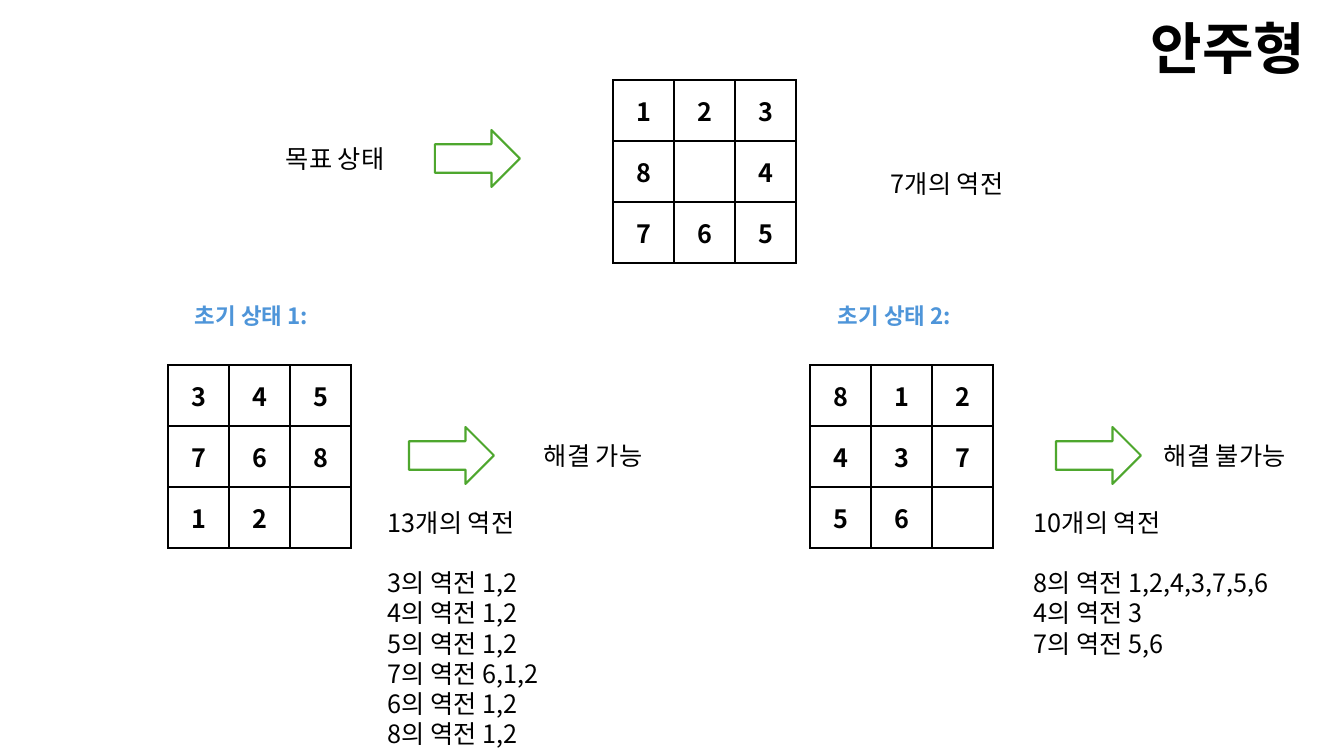
from dataclasses import dataclass

from lxml.etree import SubElement
from pptx import Presentation
from pptx.dml.color import RGBColor
from pptx.enum.shapes import MSO_SHAPE
from pptx.enum.text import MSO_ANCHOR, MSO_AUTO_SIZE, PP_ALIGN
from pptx.oxml.ns import qn
from pptx.slide import Slide
from pptx.table import _Cell
from pptx.text.text import _Paragraph
from pptx.util import Emu, Pt

PX_PER_INCH = 100.8
BLACK = RGBColor(0x00, 0x00, 0x00)
WHITE = RGBColor(0xFF, 0xFF, 0xFF)
GREEN = RGBColor(0x4E, 0xA7, 0x2E)
BLUE = RGBColor(0x4E, 0x95, 0xD9)
FONT = "Noto Sans CJK KR"
CELL_SIZE = 61
ARROW_SIZE = (85, 57)
LIST_GAP = Pt(21.6)

BODY = {"size": Pt(18), "bold": False}
TILE = {"size": Pt(18), "bold": True}
HEADING = {"size": Pt(16), "bold": True}
TITLE = {"size": Pt(40), "bold": True}


@dataclass(frozen=True)
class Puzzle:
    left: int
    top: int
    rows: tuple[str, ...]


@dataclass(frozen=True)
class Label:
    left: int
    top: int
    width: int
    height: int
    lines: tuple[str, ...]
    style: dict
    color: RGBColor = BLACK


PUZZLES = (
    Puzzle(613, 80, ("123", "8 4", "765")),
    Puzzle(810, 365, ("812", "437", "56 ")),
    Puzzle(168, 365, ("345", "768", "12 ")),
)

ARROWS = ((435, 130), (409, 427), (1056, 427))

LABELS = (
    Label(276, 138, 149, 40, ("목표 상태",), BODY),
    Label(1154, 435, 167, 40, ("해결 불가능",), BODY),
    Label(534, 435, 149, 40, ("해결 가능",), BODY),
    Label(881, 163, 235, 40, ("7개의 역전",), BODY),
    Label(378, 502, 235, 254,
          ("13개의 역전", "3의 역전 1,2", "4의 역전 1,2", "5의 역전 1,2",
           "7의 역전 6,1,2", "6의 역전 1,2", "8의 역전 1,2"), BODY),
    Label(1024, 502, 277, 163,
          ("10개의 역전", "8의 역전 1,2,4,3,7,5,6", "4의 역전 3", "7의 역전 5,6"), BODY),
    Label(185, 297, 148, 37, ("초기 상태 1:",), HEADING, BLUE),
    Label(828, 297, 148, 37, ("초기 상태 2:",), HEADING, BLUE),
    Label(1141, 9, 244, 78, ("안주형",), TITLE),
)


def px(length: int) -> Emu:
    return Emu(round(length * 914400 / PX_PER_INCH))


def write_text(para: _Paragraph, text: str, style: dict, color: RGBColor) -> None:
    span = para.add_run()
    span.text = text
    for name, value in {"name": FONT, **style}.items():
        setattr(span.font, name, value)
    span.font.color.rgb = color
    # Hangul takes its typeface from the East Asian slot
    SubElement(span.font._element, qn("a:ea"), typeface=FONT)


def format_cell(cell: _Cell) -> None:
    """Give the cell black borders on all sides and a white fill."""
    properties = cell._tc.get_or_add_tcPr()
    for side in "LRTB":
        border = SubElement(properties, qn(f"a:ln{side}"), w=str(Pt(1)))
        fill = SubElement(border, qn("a:solidFill"))
        SubElement(fill, qn("a:srgbClr"), val=str(BLACK))
    cell.fill.solid()
    cell.fill.fore_color.rgb = WHITE
    cell.vertical_anchor = MSO_ANCHOR.MIDDLE


def draw_puzzle(page: Slide, puzzle: Puzzle) -> None:
    side = px(3 * CELL_SIZE)
    table = page.shapes.add_table(3, 3, px(puzzle.left), px(puzzle.top), side, side).table
    table.first_row = table.horz_banding = False
    for column in table.columns:
        column.width = px(CELL_SIZE)
    for row_index, digits in enumerate(puzzle.rows):
        table.rows[row_index].height = px(CELL_SIZE)
        for column_index, digit in enumerate(digits):
            cell = table.cell(row_index, column_index)
            format_cell(cell)
            if digit != " ":
                para = cell.text_frame.paragraphs[0]
                para.alignment = PP_ALIGN.CENTER
                write_text(para, digit, TILE, BLACK)


def draw_arrow(page: Slide, left: int, top: int) -> None:
    width, height = ARROW_SIZE
    arrow = page.shapes.add_shape(
        MSO_SHAPE.RIGHT_ARROW, px(left), px(top), px(width), px(height))
    arrow.shadow.inherit = False
    arrow.fill.solid()
    arrow.fill.fore_color.rgb = WHITE
    arrow.line.color.rgb = GREEN
    arrow.line.width = Pt(1.5)


def draw_label(page: Slide, label: Label) -> None:
    """Draw the lines, with a gap of one line after the first."""
    box = page.shapes.add_textbox(
        px(label.left), px(label.top), px(label.width), px(label.height))
    frame = box.text_frame
    frame.word_wrap = True
    frame.auto_size = MSO_AUTO_SIZE.SHAPE_TO_FIT_TEXT
    for index, line in enumerate(label.lines):
        para = frame.add_paragraph() if index else frame.paragraphs[0]
        if index == 1:
            para.space_before = LIST_GAP
        write_text(para, line, label.style, label.color)


def main() -> None:
    deck = Presentation()
    deck.slide_width, deck.slide_height = px(1344), px(756)
    page = deck.slides.add_slide(deck.slide_layouts[6])
    for puzzle in PUZZLES:
        draw_puzzle(page, puzzle)
    for left, top in ARROWS:
        draw_arrow(page, left, top)
    for label in LABELS:
        draw_label(page, label)
    deck.save("out.pptx")


if __name__ == "__main__":
    main()
